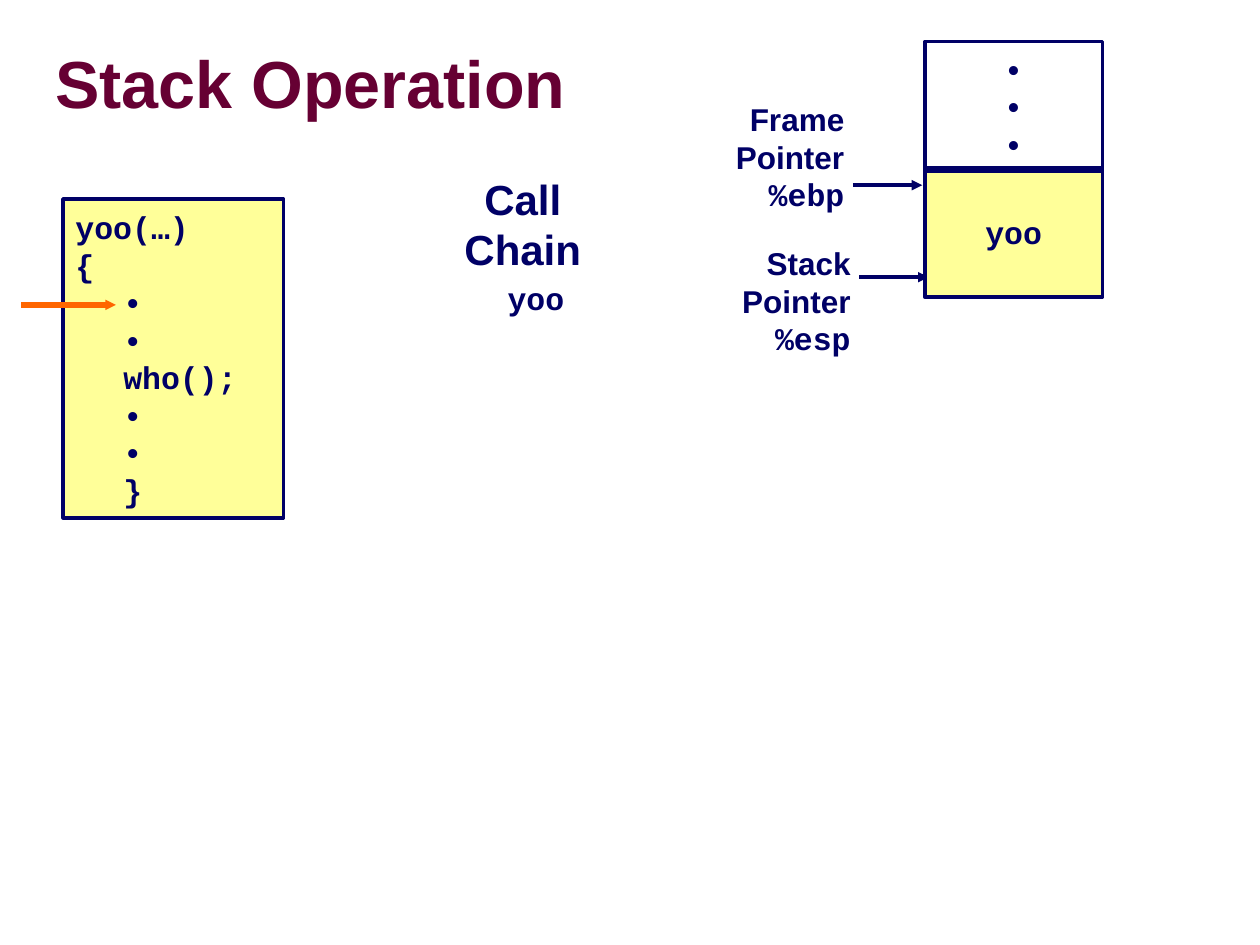
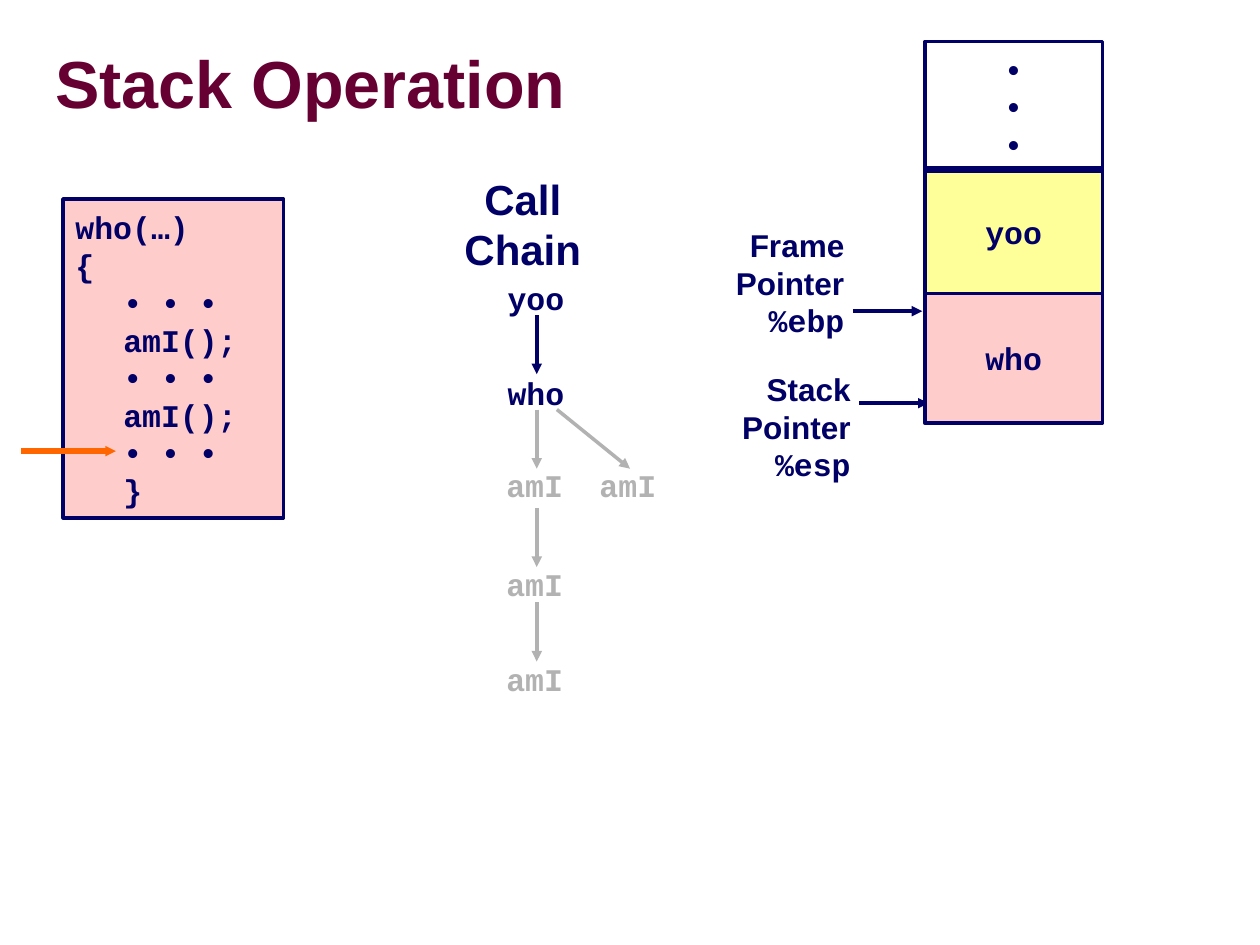
from lxml import etree
from pptx import Presentation
from pptx import util as u
from pptx.dml.color import RGBColor
from pptx.enum import shapes, text
from pptx.oxml.ns import qn

NAVY, MAROON, GRAY, ORANGE = "000066", "660033", "B2B2B2", "FF6600"
YELLOW, PINK = "FFFF99", "FFCCCC"
SANS, MONO = "Arial", "Courier New"
LEFT, MID, RIGHT = text.PP_ALIGN.LEFT, text.PP_ALIGN.CENTER, text.PP_ALIGN.RIGHT
STEP = 1  # height of one stack frame
DROP = 0.47  # length of a call arrow


def rgb(color):
    return RGBColor.from_string(color)


def inches(*sizes):
    return [u.Inches(size) for size in sizes]


def style(par, font, size=18, color=NAVY, align=LEFT):
    par.alignment = align
    par.line_spacing = u.Pt(size * 1.19)
    par.font.name = font
    par.font.size = u.Pt(size)
    par.font.bold = True
    par.font.color.rgb = rgb(color)


def fill_text(frame, lines, font, **look):
    frame.text = "\n".join(lines)
    for par in frame.paragraphs:
        style(par, font, **look)


def add_title(slide, words):
    title = slide.shapes.title
    title.left, title.top, title.width, title.height = inches(0.44, 0.27, 9.39, 0.85)
    frame = title.text_frame
    frame.margin_left = frame.margin_right = frame.margin_top = frame.margin_bottom = 0
    frame.vertical_anchor = text.MSO_ANCHOR.MIDDLE
    fill_text(frame, [words], SANS, size=38, color=MAROON)
    par = frame.paragraphs[0]
    par.line_spacing = 0.87
    props = par.runs[0].font._element
    effects = etree.SubElement(props, qn("a:effectLst"))
    shadow = etree.SubElement(effects, qn("a:outerShdw"), dist="38100", dir="2700000")
    etree.SubElement(shadow, qn("a:srgbClr"), val="808080")


def add_label(parent, lines, left, top, width, height, font=MONO, **look):
    box = parent.shapes.add_textbox(*inches(left, top, width, height))
    box.text_frame.word_wrap = False
    fill_text(box.text_frame, lines, font, **look)
    return box.text_frame


def add_box(slide, lines, left, top, width, height, fill=None, align=MID):
    box = slide.shapes.add_shape(
        shapes.MSO_SHAPE.RECTANGLE, *inches(left, top, width, height))
    box.shadow.inherit = False
    if fill:
        box.fill.solid()
        box.fill.fore_color.rgb = rgb(fill)
    else:
        box.fill.background()
    box.line.color.rgb = rgb(NAVY)
    box.line.width = u.Pt(2)
    frame = box.text_frame
    frame.word_wrap = True
    frame.vertical_anchor = text.MSO_ANCHOR.MIDDLE
    fill_text(frame, lines, MONO, align=align)
    return frame


def add_arrow(parent, x1, y1, x2, y2, color=NAVY, weight=2, head="med"):
    arrow = parent.shapes.add_connector(
        shapes.MSO_CONNECTOR.STRAIGHT, *inches(x1, y1, x2, y2))
    arrow.line.color.rgb = rgb(color)
    arrow.line.width = u.Pt(weight)
    etree.SubElement(arrow.line._get_or_add_ln(), qn("a:tailEnd"),
                     type="triangle", w=head, len=head)
    etree.SubElement(arrow._element.spPr, qn("a:effectLst"))


def add_pointer(slide, name, reg, left, top, drop):
    """Label a register, with an arrow that starts `drop` below its top."""
    group = slide.shapes.add_group_shape()
    add_arrow(group, left + 1.03, top + drop, left + 1.58, top + drop)
    frame = add_label(group, [name, "Pointer", reg], left, top, 1.06, 1,
                      SANS, align=RIGHT)
    frame.paragraphs[2].font.name = MONO


def add_stack(slide, frames):
    """Draw the stack, its frames from the top down, and both pointers."""
    depth = (len(frames) - 1) * STEP
    add_pointer(slide, "Stack", "%esp", 5.79, 1.89 + depth, 0.31)
    add_pointer(slide, "Frame", "%ebp", 5.74, 0.75 + depth, 0.72)
    for row, (name, fill) in enumerate(frames, 1):
        add_box(slide, [name], 7.34, 0.33 + row * STEP, 1.41, 1.03, fill)
    add_box(slide, ["•"] * 3, 7.34, 0.33, 1.41, 1.03)


def add_code(slide, name, body, fill, now):
    """Show a function's code, with an arrow at height `now`."""
    frame = add_box(slide, [f"{name}(…)", "{", *body, "}"],
                    0.5, 1.58, 1.75, 2.53, fill, LEFT)
    for par in frame.paragraphs[2:]:
        par._p.get_or_add_pPr().set("marL", str(u.Inches(0.38)))
    add_arrow(slide, 0.17, now, 0.92, now, ORANGE, 3, "sm")


def add_chain(slide, calls, links):
    frame = add_label(slide, ["Call Chain"], 3.58, 1.33, 1.83, 0.5,
                      SANS, size=24, align=MID)
    frame.word_wrap = True
    frame.margin_right = u.Inches(0.79)
    for name, left, top, color in calls:
        add_label(slide, [name], left, top, 0.66, 0.4, color=color)
    for x1, x2, top, color in links:
        add_arrow(slide, x1, top, x2, top + DROP, color)


def main():
    deck = Presentation()
    deck.slide_width, deck.slide_height = inches(10, 7.5)
    yoo, who = ("yoo", YELLOW), ("who", PINK)
    root = ("yoo", 3.93, 2.17, NAVY)
    past = [("amI", 3.92, top, GRAY) for top in (3.65, 4.44, 5.19)]
    calls = [root, ("who", 3.93, 2.92, NAVY), *past, ("amI", 4.66, 3.65, GRAY)]
    links = [(4.26, 4.26, 2.5, NAVY), (4.42, 5, 3.25, GRAY)]
    links += [(4.26, 4.26, top, GRAY) for top in (3.25, 4.03, 4.78)]
    dots = "• • •"
    steps = [
        ([yoo], ["•", "•", "who();", "•", "•"], 2.42, [root], []),
        ([yoo, who], [dots, "amI();", dots, "amI();", dots], 3.58, calls, links),
    ]
    for frames, body, now, chain, arrows in steps:
        slide = deck.slides.add_slide(deck.slide_layouts[5])
        add_title(slide, "Stack Operation")
        add_stack(slide, frames)
        name, fill = frames[-1]
        add_chain(slide, chain, arrows)
        add_code(slide, name, body, fill, now)
    deck.save("out.pptx")


if __name__ == "__main__":
    main()
